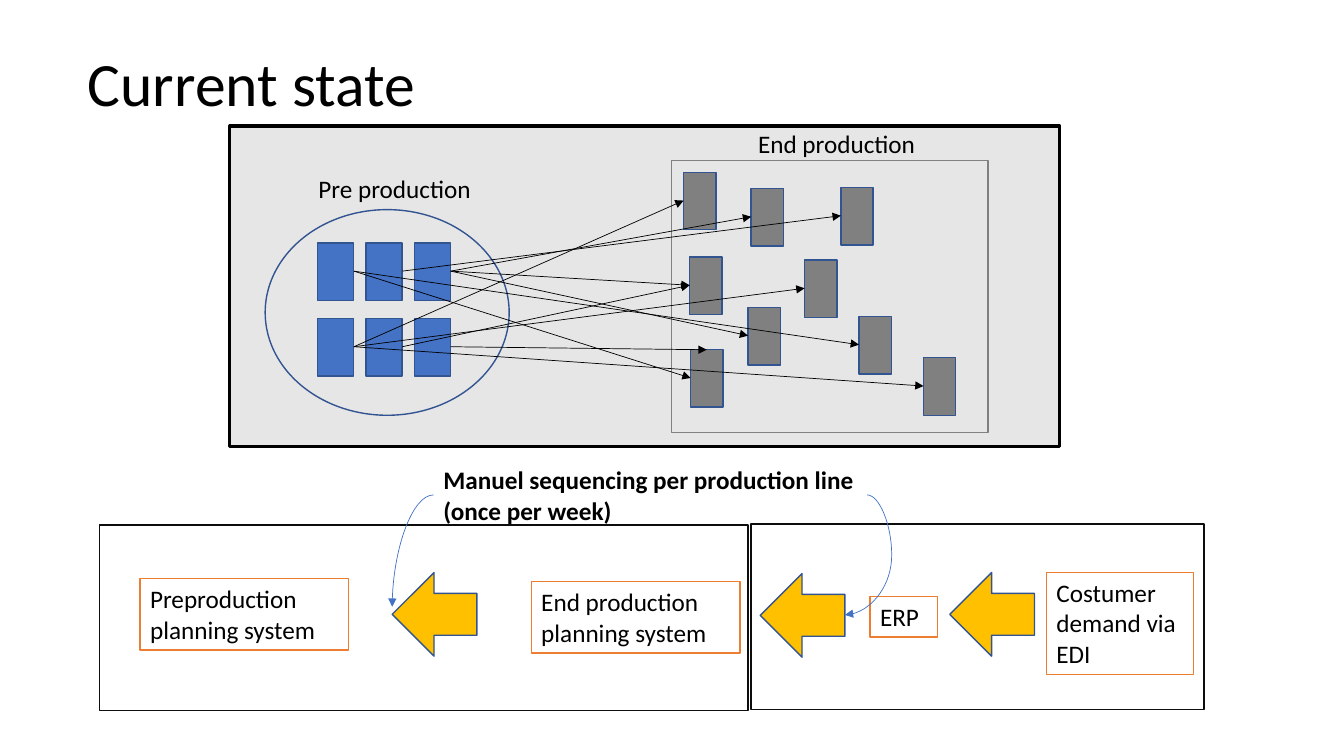
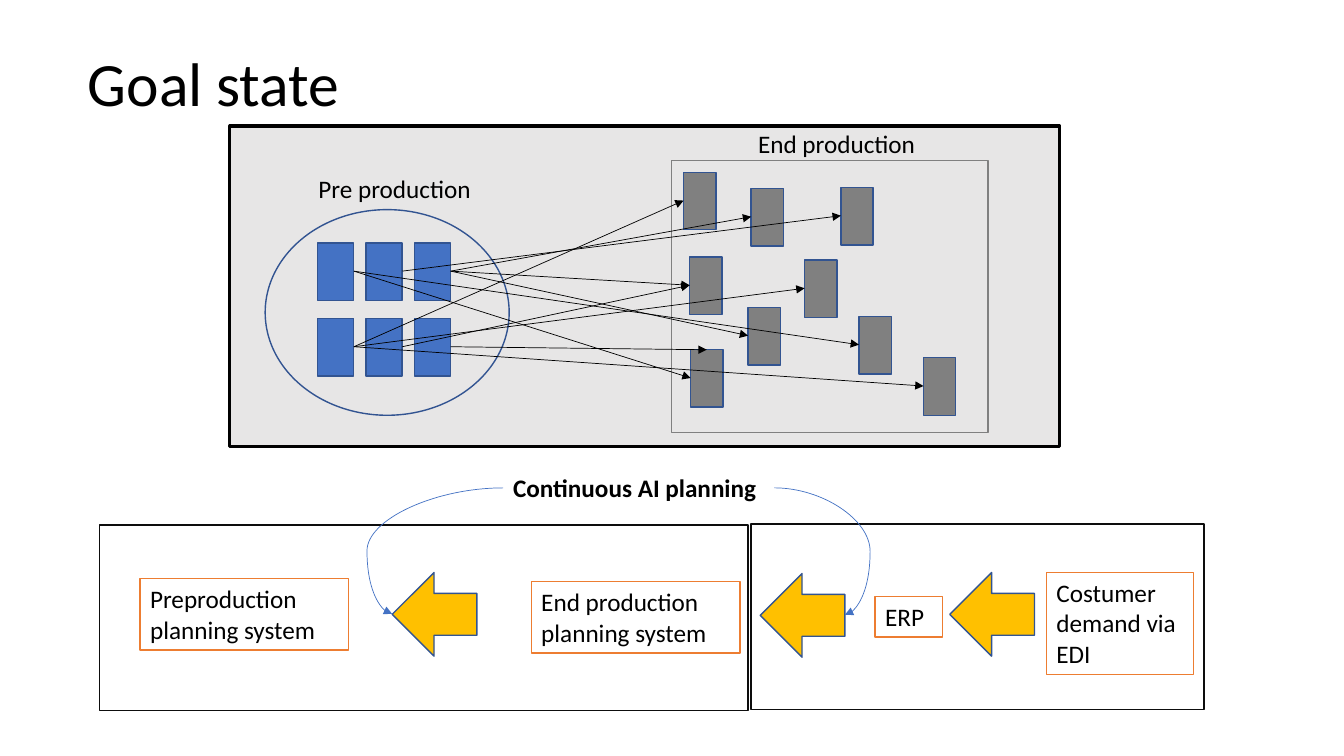
from lxml.etree import SubElement
from pptx import Presentation
from pptx.dml.color import RGBColor
from pptx.enum.shapes import MSO_CONNECTOR, MSO_SHAPE
from pptx.enum.text import MSO_ANCHOR, MSO_AUTO_SIZE, PP_ALIGN
from pptx.oxml.ns import qn
from pptx.util import Pt

PX = 9144
FONT = "Calibri"
COLORS = {
    "black": "000000", "frame": "0D0D0D", "white": "FFFFFF",
    "floor": "E7E6E6", "gray": "808080", "blue": "4472C4",
    "navy": "325491", "gold": "FFC000", "orange": "ED7D31",
}

FRAMES = [(99, 521, 643, 184), (745, 520, 449, 184)]
PLANT = (228, 125, 823, 318)
HALL = (666, 159, 314, 270)
POOL = (263, 208, 242, 204)
LABELS = [
    ("Pre production", (306, 167, 328, 40)),
    ("End production", (742, 122, 237, 40)),
]
SOURCE = {"left": 315, "top": 241, "dx": 48, "dy": 75, "w": 36, "h": 57}
TARGET = (32, 57)
TARGETS = {
    "A": (685, 347), "B": (852, 314), "C": (742, 305),
    "D": (834, 186), "E": (745, 187), "F": (684, 255),
    "G": (678, 171), "H": (798, 258), "I": (916, 355),
}
ROUTES = [
    (2, 0, "E"), (2, 0, "F"), (2, 0, "C"), (1, 1, "F"), (0, 1, "G"),
    (0, 0, "A"), (0, 1, "I"), (1, 0, "D"), (0, 1, "H"), (0, 0, "B"),
]
DROP = (2, 1, "A")

ARROWS = [(942, 568), (754, 569), (389, 568)]
SYSTEMS = [
    ("Costumer demand via EDI", (1038, 568, 146, 101)),
    ("End production planning system", (527, 577, 207, 71)),
    ("Preproduction planning system", (139, 574, 207, 71)),
]
SLIDES = [
    {
        "title": "Current state",
        "note": "Manuel sequencing per production line (once per week)",
        "box": (430, 456, 430, 71),
        "erp": 863,
        "curves": [
            ((860, 491), (838, 610), "curvedConnector3", -111200),
            ((430, 491), (389, 602), "curvedConnector2", None),
        ],
    },
    {
        "title": "Goal state",
        "note": "Continuous AI planning",
        "box": (499, 464, 269, 40),
        "erp": 868,
        "curves": [
            ((768, 484), (838, 610), "curvedConnector3", 135800),
            ((499, 484), (389, 609), "curvedConnector3", 122700),
        ],
    },
]


def emu(nums):
    return [n * PX for n in nums]


def rgb(name):
    return RGBColor.from_string(COLORS[name])


def style(frame, size, bold=False, anchor=MSO_ANCHOR.TOP):
    frame.word_wrap = True
    frame.auto_size = MSO_AUTO_SIZE.NONE
    frame.vertical_anchor = anchor
    for para in frame.paragraphs:
        para.alignment = PP_ALIGN.LEFT
        for run in para.runs:
            run.font.name = FONT
            run.font.size = Pt(size)
            run.font.bold = bold
            run.font.color.rgb = rgb("black")


def shape(shapes, kind, box, fill, line, width=1):
    item = shapes.add_shape(kind, *emu(box))
    item.shadow.inherit = False
    if fill:
        item.fill.solid()
        item.fill.fore_color.rgb = rgb(fill)
    else:
        item.fill.background()
    item.line.color.rgb = rgb(line)
    item.line.width = Pt(width)
    return item


def rect(shapes, box, fill, line, width=1):
    return shape(shapes, MSO_SHAPE.RECTANGLE, box, fill, line, width)


def label(shapes, text, box, bold=False):
    item = shapes.add_textbox(*emu(box))
    item.text_frame.text = text
    style(item.text_frame, 18, bold)


def system(shapes, text, box):
    item = rect(shapes, box, "white", "orange")
    item.text_frame.text = text
    style(item.text_frame, 18)


def arrow(shapes, start, end, color, kind=MSO_CONNECTOR.STRAIGHT):
    item = shapes.add_connector(kind, *emu(start + end))
    item.line.color.rgb = rgb(color)
    item.line.width = Pt(0.5)
    props = item._element.spPr
    SubElement(props.find(qn("a:ln")), qn("a:tailEnd"), type="triangle")
    SubElement(props, qn("a:effectLst"))
    return item


def curve(shapes, start, end, preset, bend):
    item = arrow(shapes, start, end, "blue", MSO_CONNECTOR.CURVE)
    geom = item._element.spPr.find(qn("a:prstGeom"))
    geom.set("prst", preset)
    if bend is not None:
        guides = geom.find(qn("a:avLst"))
        if guides is None:
            guides = SubElement(geom, qn("a:avLst"))
        SubElement(guides, qn("a:gd"), name="adj1", fmla=f"val {bend}")


def source(col, row):
    return SOURCE["left"] + col * SOURCE["dx"], SOURCE["top"] + row * SOURCE["dy"]


def exit_of(col, row):
    left, top = source(col, row)
    return left + SOURCE["w"], top + SOURCE["h"] // 2


def plant(slide):
    shapes = slide.shapes.add_group_shape().shapes
    rect(shapes, PLANT, "floor", "black", 2.25)
    rect(shapes, HALL, "floor", "gray")
    shape(shapes, MSO_SHAPE.OVAL, POOL, None, "navy")
    for col in range(3):
        for row in range(2):
            box = source(col, row) + (SOURCE["w"], SOURCE["h"])
            rect(shapes, box, "blue", "navy")
    for spot in TARGETS.values():
        rect(shapes, spot + TARGET, "gray", "navy")
    for col, row, name in ROUTES:
        left, top = TARGETS[name]
        arrow(shapes, exit_of(col, row), (left, top + TARGET[1] // 2), "black")
    col, row, name = DROP
    left, top = TARGETS[name]
    arrow(shapes, exit_of(col, row), (left + TARGET[0] // 2, top), "black")
    for text, box in LABELS:
        label(shapes, text, box)


def head(slide, text):
    title = slide.shapes.title
    title.left, title.top, title.width, title.height = emu((77, 13, 1150, 145))
    title.text_frame.text = text
    title.text_frame.paragraphs[0].line_spacing = 0.9
    style(title.text_frame, 44, anchor=MSO_ANCHOR.MIDDLE)


def build(deck, data):
    slide = deck.slides.add_slide(deck.slide_layouts[5])
    shapes = slide.shapes
    head(slide, data["title"])
    for box in FRAMES:
        rect(shapes, box, "white", "frame")
    plant(slide)
    system(shapes, "ERP", (data["erp"], 592, 67, 40))
    for text, box in SYSTEMS:
        system(shapes, text, box)
    for spot in ARROWS:
        shape(shapes, MSO_SHAPE.LEFT_ARROW, spot + (84, 83), "gold", "navy")
    label(shapes, data["note"], data["box"], True)
    for args in data["curves"]:
        curve(shapes, *args)


def main():
    deck = Presentation()
    deck.slide_width, deck.slide_height = emu((1333, 750))
    for data in SLIDES:
        build(deck, data)
    deck.save("out.pptx")


if __name__ == "__main__":
    main()
